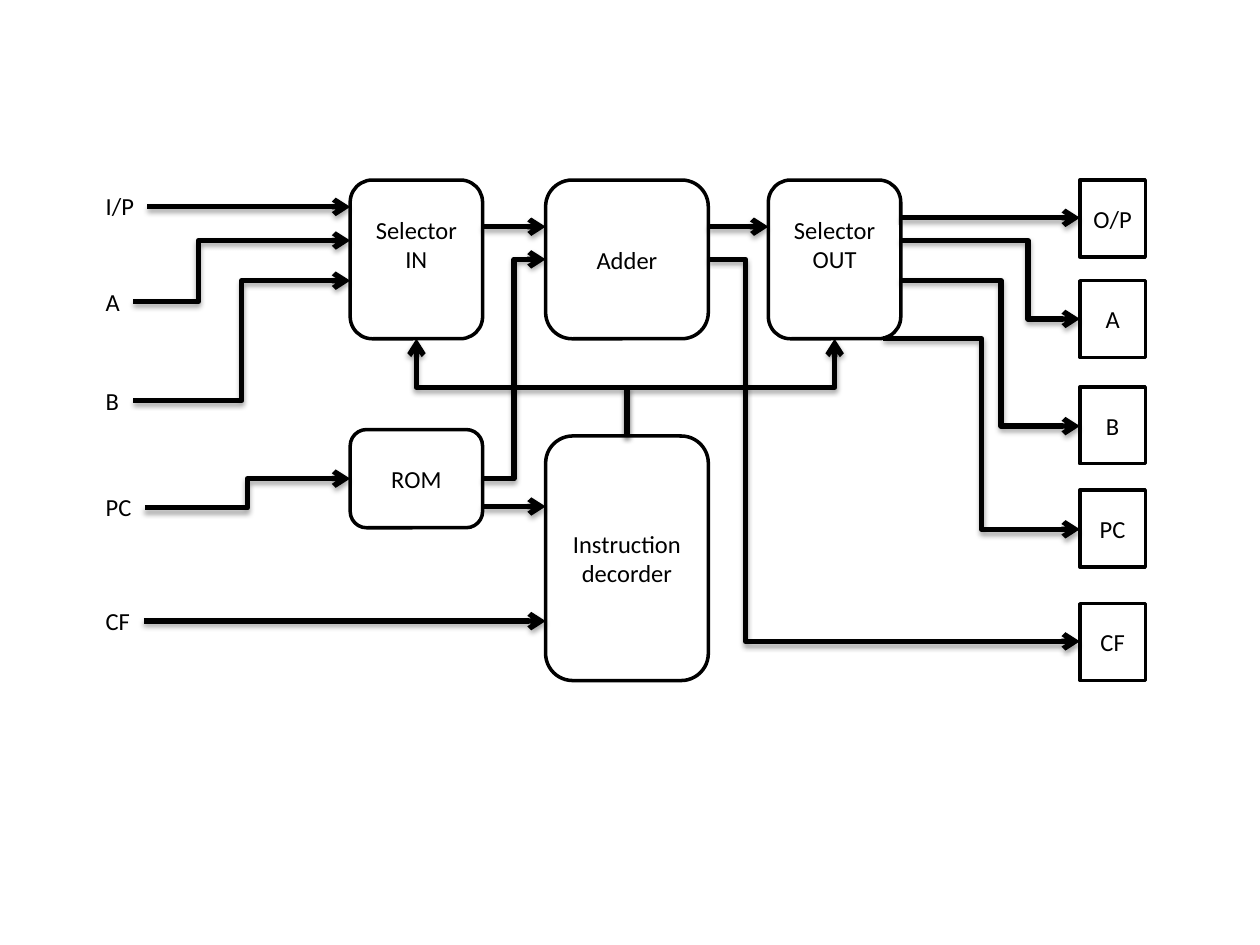
import dataclasses

import pptx
import pptx.dml.color
import pptx.enum.shapes
import pptx.enum.text
import pptx.oxml
import pptx.oxml.ns
import pptx.util

Cm = pptx.util.Cm
Pt = pptx.util.Pt
SHAPE = pptx.enum.shapes.MSO_SHAPE
CONNECTOR = pptx.enum.shapes.MSO_CONNECTOR

BLACK = pptx.dml.color.RGBColor(0x00, 0x00, 0x00)
WHITE = pptx.dml.color.RGBColor(0xFF, 0xFF, 0xFF)
FONT = "Calibri"
FONT_SIZE = Pt(14)
NAMESPACE = pptx.oxml.ns.nsdecls("a")
SHADOW = (
    f'<a:effectLst {NAMESPACE}><a:outerShdw blurRad="{Pt(3.1)}" dist="{Pt(1.8)}" '
    'dir="5400000" rotWithShape="0"><a:srgbClr val="000000">'
    '<a:alpha val="35000"/></a:srgbClr></a:outerShdw></a:effectLst>'
)


# All lengths below are in centimetres
@dataclasses.dataclass(frozen=True)
class Block:
    text: str
    left: float
    top: float
    width: float
    height: float
    kind: int = SHAPE.ROUNDED_RECTANGLE
    lift: float = 0  # extra bottom inset that raises the text


@dataclasses.dataclass(frozen=True)
class Label:
    text: str
    top: float
    width: float


@dataclasses.dataclass(frozen=True)
class Wire:
    x1: float
    y1: float
    x2: float
    y2: float
    bend: float = 0.5  # share of the way at which the wire turns
    upward: bool = False  # leaves vertically instead of horizontally


# Columns and rows shared by blocks and wires
LABEL_LEFT = 1.88
IN_LEFT, ADDER_LEFT, OUT_LEFT, PORT_LEFT = 7.06, 11, 15.49, 21.77
SELECTOR_WIDTH, ADDER_WIDTH = 2.67, 3.28
IN_RIGHT = IN_LEFT + SELECTOR_WIDTH
ADDER_RIGHT = ADDER_LEFT + ADDER_WIDTH
OUT_RIGHT = OUT_LEFT + SELECTOR_WIDTH
TOP, UNIT_HEIGHT = 3.63, 3.2
UNIT_BOTTOM = TOP + UNIT_HEIGHT
DECODER_TOP = 8.79
DECODER_MIDDLE = ADDER_LEFT + ADDER_WIDTH / 2

BLOCKS = [
    Block("Selector IN", IN_LEFT, TOP, SELECTOR_WIDTH, UNIT_HEIGHT, lift=0.6),
    Block("Selector OUT", OUT_LEFT, TOP, SELECTOR_WIDTH, UNIT_HEIGHT, lift=0.6),
    Block("Adder", ADDER_LEFT, TOP, ADDER_WIDTH, UNIT_HEIGHT),
    Block("Instruction\ndecorder", ADDER_LEFT, DECODER_TOP, ADDER_WIDTH, 4.93),
    Block("ROM", IN_LEFT, 8.66, SELECTOR_WIDTH, 1.98),
]
PORT_TOPS = {"O/P": TOP, "A": 5.66, "B": 7.8, "PC": 9.88, "CF": 12.17}
PORTS = [
    Block(name, PORT_LEFT, top, 1.32, 1.55, SHAPE.RECTANGLE)
    for name, top in PORT_TOPS.items()
]
INPUTS = [
    Label("I/P", 3.73, 1.09),
    Label("A", 5.66, 0.81),
    Label("B", 7.65, 0.81),
    Label("PC", 9.8, 1.04),
    Label("CF", 12.09, 1.02),
]
WIRES = [
    # Inputs
    Wire(2.97, 4.17, IN_LEFT, 4.17),
    Wire(2.69, 6.08, IN_LEFT, 4.85, 0.3),
    Wire(2.69, 8.08, IN_LEFT, 5.66),
    Wire(2.92, 10.24, IN_LEFT, 9.65),
    Wire(2.9, 12.52, ADDER_LEFT, 12.52),
    # Between the units
    Wire(IN_RIGHT, 4.57, ADDER_LEFT, 4.57),
    Wire(ADDER_RIGHT, 4.57, OUT_LEFT, 4.57),
    Wire(IN_RIGHT, 9.65, ADDER_LEFT, 5.23),
    Wire(IN_RIGHT, 10.21, ADDER_LEFT, 10.21),
    # Outputs
    Wire(OUT_RIGHT, 4.39, PORT_LEFT, 4.39),
    Wire(OUT_RIGHT, 4.85, PORT_LEFT, 6.43, 0.71),
    Wire(OUT_RIGHT, 5.66, PORT_LEFT, 8.59, 0.56),
    Wire(17.81, UNIT_BOTTOM, PORT_LEFT, 10.67),
    Wire(ADDER_RIGHT, 5.23, PORT_LEFT, 12.93, 0.1),
    # Decoder control of both selectors
    *(
        Wire(DECODER_MIDDLE, DECODER_TOP, left + SELECTOR_WIDTH / 2, UNIT_BOTTOM, upward=True)
        for left in (OUT_LEFT, IN_LEFT)
    ),
]


def write_text(frame, text: str, align) -> None:
    frame.text = text
    for paragraph in frame.paragraphs:
        paragraph.alignment = align
        for run in paragraph.runs:
            run.font.name = FONT
            run.font.size = FONT_SIZE
            run.font.color.rgb = BLACK


def draw_block(shapes, block: Block) -> None:
    box = shapes.add_shape(
        block.kind, Cm(block.left), Cm(block.top), Cm(block.width), Cm(block.height)
    )
    box.shadow.inherit = False
    box.fill.solid()
    box.fill.fore_color.rgb = WHITE
    box.line.color.rgb = BLACK
    box.line.width = Pt(2)
    frame = box.text_frame
    frame.vertical_anchor = pptx.enum.text.MSO_ANCHOR.MIDDLE
    frame.margin_bottom += Cm(block.lift)
    write_text(frame, block.text, pptx.enum.text.PP_ALIGN.CENTER)


def draw_label(shapes, label: Label) -> None:
    box = shapes.add_textbox(Cm(LABEL_LEFT), Cm(label.top), Cm(label.width), Cm(0.86))
    box.text_frame.word_wrap = False
    box.text_frame.auto_size = pptx.enum.text.MSO_AUTO_SIZE.SHAPE_TO_FIT_TEXT
    write_text(box.text_frame, label.text, pptx.enum.text.PP_ALIGN.LEFT)


def draw_wire(shapes, wire: Wire) -> None:
    x1, y1, x2, y2 = wire.x1, wire.y1, wire.x2, wire.y2
    straight = y1 == y2
    if wire.upward:
        # Lay the wire out sideways about its centre; it is turned below
        middle_x, middle_y = (x1 + x2) / 2, (y1 + y2) / 2
        half_rise, half_run = (y1 - y2) / 2, (x2 - x1) / 2
        x1, x2 = middle_x - half_rise, middle_x + half_rise
        y1, y2 = middle_y - half_run, middle_y + half_run
    kind = CONNECTOR.STRAIGHT if straight else CONNECTOR.ELBOW
    line = shapes.add_connector(kind, Cm(x1), Cm(y1), Cm(x2), Cm(y2))
    line.line.color.rgb = BLACK
    line.line.width = Pt(3)

    properties = line._element.spPr
    if wire.upward:
        properties.find(pptx.oxml.ns.qn("a:xfrm")).set("rot", str(270 * 60000))
    if not straight:
        guides = properties.find(".//" + pptx.oxml.ns.qn("a:avLst"))
        guides.append(pptx.oxml.parse_xml(
            f'<a:gd {NAMESPACE} name="adj1" fmla="val {round(wire.bend * 100000)}"/>'
        ))
    properties.find(pptx.oxml.ns.qn("a:ln")).append(
        pptx.oxml.parse_xml(f'<a:tailEnd {NAMESPACE} type="arrow"/>')
    )
    properties.append(pptx.oxml.parse_xml(SHADOW))


def main() -> None:
    presentation = pptx.Presentation()
    presentation.slide_width = Cm(25.4)
    presentation.slide_height = Cm(19.05)
    shapes = presentation.slides.add_slide(presentation.slide_layouts[6]).shapes
    for block in BLOCKS + PORTS:
        draw_block(shapes, block)
    for label in INPUTS:
        draw_label(shapes, label)
    for wire in WIRES:
        draw_wire(shapes, wire)
    presentation.save("out.pptx")


if __name__ == "__main__":
    main()
